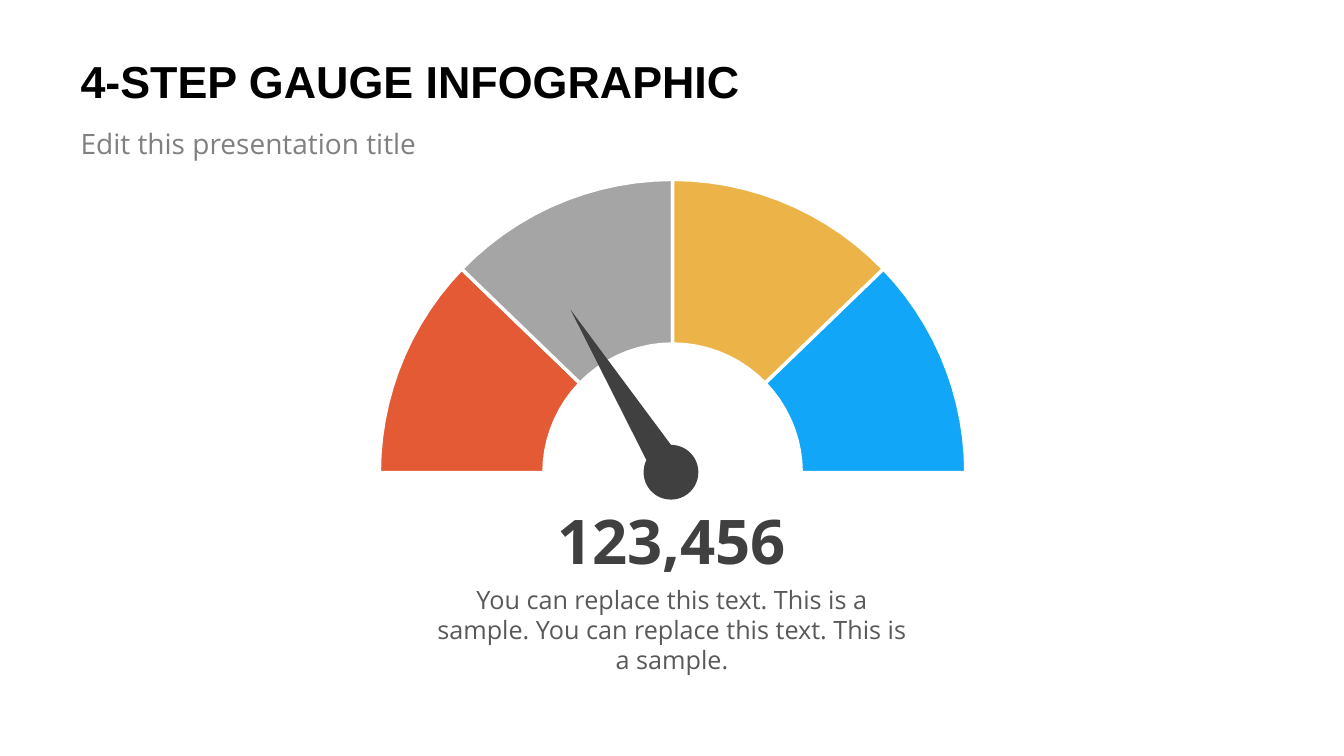
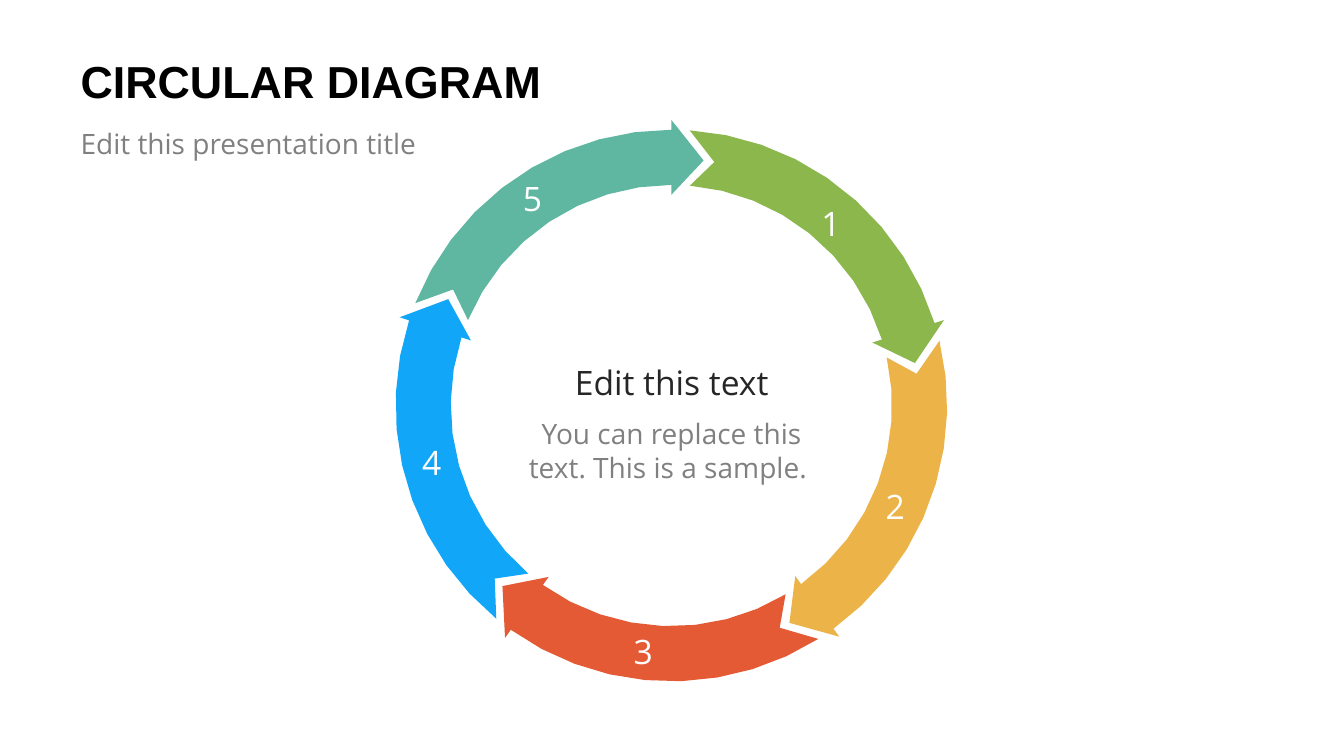
import math
from dataclasses import dataclass

import lxml.etree
import pptx
import pptx.dml.color
import pptx.enum.shapes
import pptx.enum.text
import pptx.oxml.ns
import pptx.util

Cm = pptx.util.Cm
ALIGN = pptx.enum.text.PP_ALIGN
ANCHOR = pptx.enum.text.MSO_ANCHOR
AUTO_SIZE = pptx.enum.text.MSO_AUTO_SIZE


@dataclass(frozen=True)
class Theme:
    heading_font: str = "Arial"
    body_font: str = "Open Sans"
    black: str = "000000"
    ink: str = "262626"
    dark: str = "404040"
    text: str = "595959"
    muted: str = "808080"
    white: str = "FFFFFF"
    red: str = "E35A35"
    grey: str = "A5A5A5"
    yellow: str = "ECB448"
    blue: str = "12A6F8"
    green: str = "8BB74C"
    teal: str = "5FB7A2"
    value_size: int = 44
    title_size: int = 32
    label_size: int = 24
    subtitle_size: int = 20
    note_size: int = 18


THEME = Theme()


# Text

def rgb(color):
    return pptx.dml.color.RGBColor.from_string(color)


def add_run(paragraph, text, size, color, font=THEME.body_font, bold=False):
    run = paragraph.add_run()
    run.text = text
    run.font.name = font
    run.font.size = pptx.util.Pt(size)
    run.font.bold = bold
    run.font.color.rgb = rgb(color)


def add_text(shapes, box, text, size, color, bold=False, wrap=True,
             anchor=ANCHOR.TOP, align=ALIGN.CENTER):
    """Add a text box; box is left, top, width, height in cm."""
    frame = shapes.add_textbox(*map(Cm, box)).text_frame
    frame.word_wrap = wrap
    frame.auto_size = AUTO_SIZE.SHAPE_TO_FIT_TEXT
    frame.vertical_anchor = anchor
    paragraph = frame.paragraphs[0]
    paragraph.alignment = align
    add_run(paragraph, text, size, color, bold=bold)


# Shared layout and header

def prepare_layout(layout):
    boxes = {0: (1.7, 1.04, 21.59, 1.98), 1: (1.7, 3, 11, 1.42)}
    for placeholder in layout.placeholders:
        index = placeholder.placeholder_format.idx
        if index not in boxes:
            continue
        left, top, width, height = map(Cm, boxes[index])
        placeholder.left, placeholder.top = left, top
        placeholder.width, placeholder.height = width, height
        frame = placeholder.text_frame
        frame.margin_left = frame.margin_right = Cm(0.33)
        frame.margin_top = frame.margin_bottom = Cm(0.18)
        frame.auto_size = AUTO_SIZE.NONE
        frame.vertical_anchor = ANCHOR.TOP if index else ANCHOR.MIDDLE


def add_slide(presentation, layout, title):
    slide = presentation.slides.add_slide(layout)
    heading = slide.shapes.title.text_frame.paragraphs[0]
    heading.alignment = ALIGN.LEFT
    add_run(heading, title, THEME.title_size, THEME.black, THEME.heading_font, True)

    subtitle = slide.placeholders[1].text_frame.paragraphs[0]
    properties = subtitle._p.get_or_add_pPr()
    properties.set("marL", "0")
    properties.set("indent", "0")
    lxml.etree.SubElement(properties, pptx.oxml.ns.qn("a:buNone"))
    subtitle.space_before = pptx.util.Pt(0)
    add_run(subtitle, "Edit this presentation title", THEME.subtitle_size, THEME.muted)
    return slide


# Shapes

def polar(center, radius, angle):
    """Point in cm at an angle in degrees, clockwise from the top."""
    turn = math.radians(angle)
    return center[0] + radius * math.sin(turn), center[1] - radius * math.cos(turn)


def arc(center, radius, start, end, steps):
    return [polar(center, radius, start + (end - start) * step / steps)
            for step in range(steps + 1)]


def paint(shape, color, line_color=None, line_width=2.5):
    shape.shadow.inherit = False
    shape.fill.solid()
    shape.fill.fore_color.rgb = rgb(color)
    if line_color:
        shape.line.color.rgb = rgb(line_color)
        shape.line.width = pptx.util.Pt(line_width)
    else:
        shape.line.fill.background()


def add_outline(shapes, points, color, line_color=None):
    corners = [(Cm(x), Cm(y)) for x, y in points]
    builder = shapes.build_freeform(*corners[0])
    builder.add_line_segments(corners[1:], close=True)
    paint(builder.convert_to_shape(), color, line_color)


def add_preset(shapes, kind, box, color, rotation=0):
    shape = shapes.add_shape(kind, *map(Cm, box))
    shape.rotation = rotation
    paint(shape, color)


def add_gauge_segment(shapes, center, start, end, color):
    outer_radius, inner_radius = 7.39, 3.24
    points = (arc(center, outer_radius, start, end, 13)
              + arc(center, inner_radius, end, start, 9))
    add_outline(shapes, points, color, THEME.white)


def add_ring_arrow(shapes, center, start, end, color):
    outer_radius, middle_radius, inner_radius, barb = 6.95, 6.23, 5.56, 0.25
    points = [
        *arc(center, outer_radius, start + 3.8, end, 9),
        polar(center, outer_radius + barb, end),
        polar(center, middle_radius, end + 7.5),
        polar(center, inner_radius - barb, end),
        *arc(center, inner_radius, end, start + 4.8, 8),
        polar(center, middle_radius, start + 10),
    ]
    add_outline(shapes, points, color)


# Slides

def build_gauge(slide):
    center = (16.95, 11.91)
    bounds = (-90, -46, 0, 46, 90)
    colors = (THEME.red, THEME.grey, THEME.yellow, THEME.blue)
    for start, end, color in zip(bounds, bounds[1:], colors):
        add_gauge_segment(slide.shapes, center, start, end, color)

    # Needle
    kinds = pptx.enum.shapes.MSO_SHAPE
    needle = slide.shapes.add_group_shape().shapes
    add_preset(needle, kinds.OVAL, (16.22, 11.21, 1.38, 1.38), THEME.dark)
    add_preset(needle, kinds.ISOSCELES_TRIANGLE, (15.24, 7.44, 0.84, 4.88),
               THEME.dark, 328.3)

    # Reading
    add_text(slide.shapes, (11.85, 12.54, 10.16, 2.13), "123,456", THEME.value_size,
             THEME.dark, bold=True, anchor=ANCHOR.MIDDLE)
    add_text(slide.shapes, (10.57, 14.59, 12.73, 2.57),
             "You can replace this text. This is a sample. "
             "You can replace this text. This is a sample.",
             THEME.note_size, THEME.text)


def build_circle(slide):
    # Centre text
    caption = slide.shapes.add_group_shape().shapes
    add_text(caption, (12.9, 10.37, 8.05, 1.96),
             "You can replace this text. This is a sample. ",
             THEME.subtitle_size, THEME.muted)
    add_text(caption, (14.2, 8.99, 5.46, 1.27), "Edit this text", THEME.label_size,
             THEME.ink, wrap=False)

    # Ring of arrows
    ring = slide.shapes.add_group_shape().shapes
    bounds = (0, 72.6, 144, 215.6, 288, 360)
    colors = (THEME.green, THEME.yellow, THEME.red, THEME.blue, THEME.teal)
    for start, end, color in zip(bounds, bounds[1:], colors):
        add_ring_arrow(ring, (16.92, 10.22), start, end, color)

    # Step numbers
    corners = ((20.45, 4.98), (22.07, 12.12), (15.72, 15.77), (10.39, 11.02), (12.93, 4.37))
    for number, corner in enumerate(corners, start=1):
        add_text(slide.shapes, (*corner, 0.99, 1.27), str(number), THEME.label_size,
                 THEME.white, wrap=False, align=ALIGN.LEFT)


def main():
    presentation = pptx.Presentation()
    presentation.slide_width = Cm(33.87)
    presentation.slide_height = Cm(19.05)
    layout = presentation.slide_layouts[1]
    prepare_layout(layout)
    build_gauge(add_slide(presentation, layout, "4-STEP GAUGE INFOGRAPHIC"))
    build_circle(add_slide(presentation, layout, "CIRCULAR DIAGRAM"))
    presentation.save("out.pptx")


if __name__ == "__main__":
    main()
